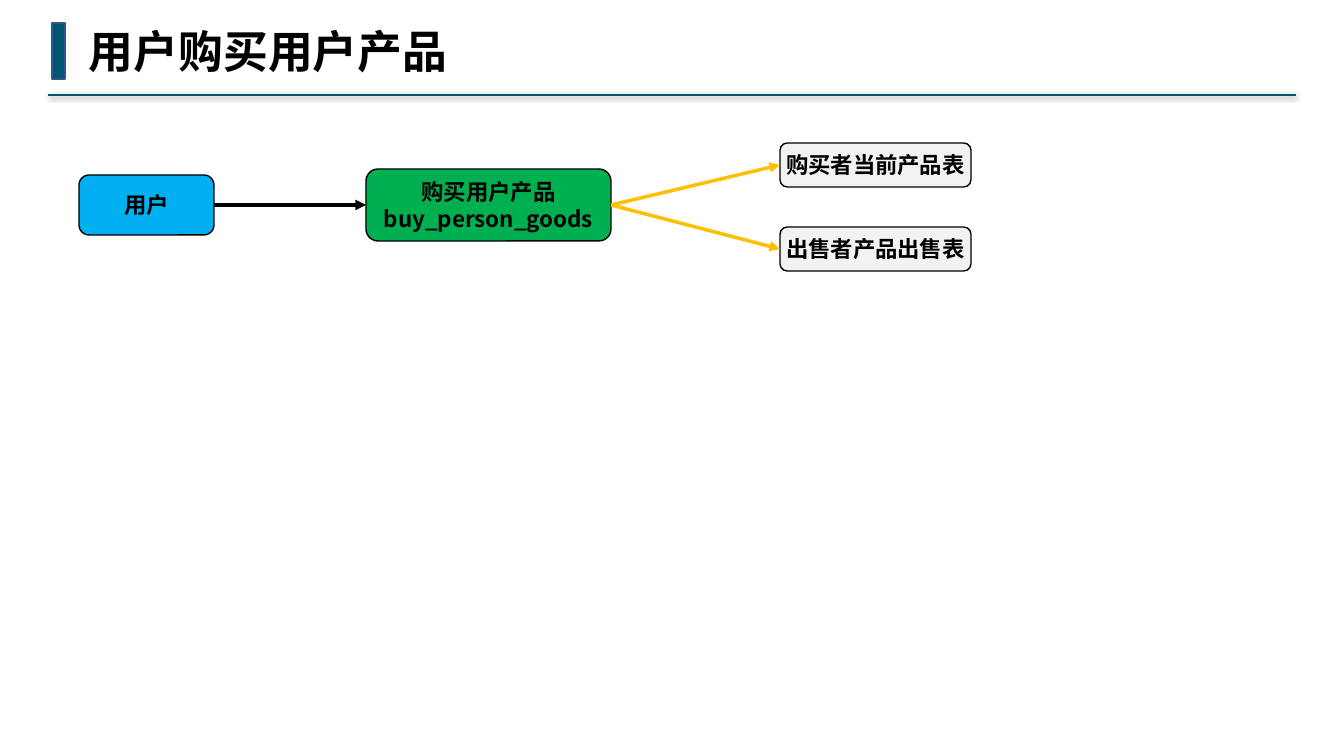
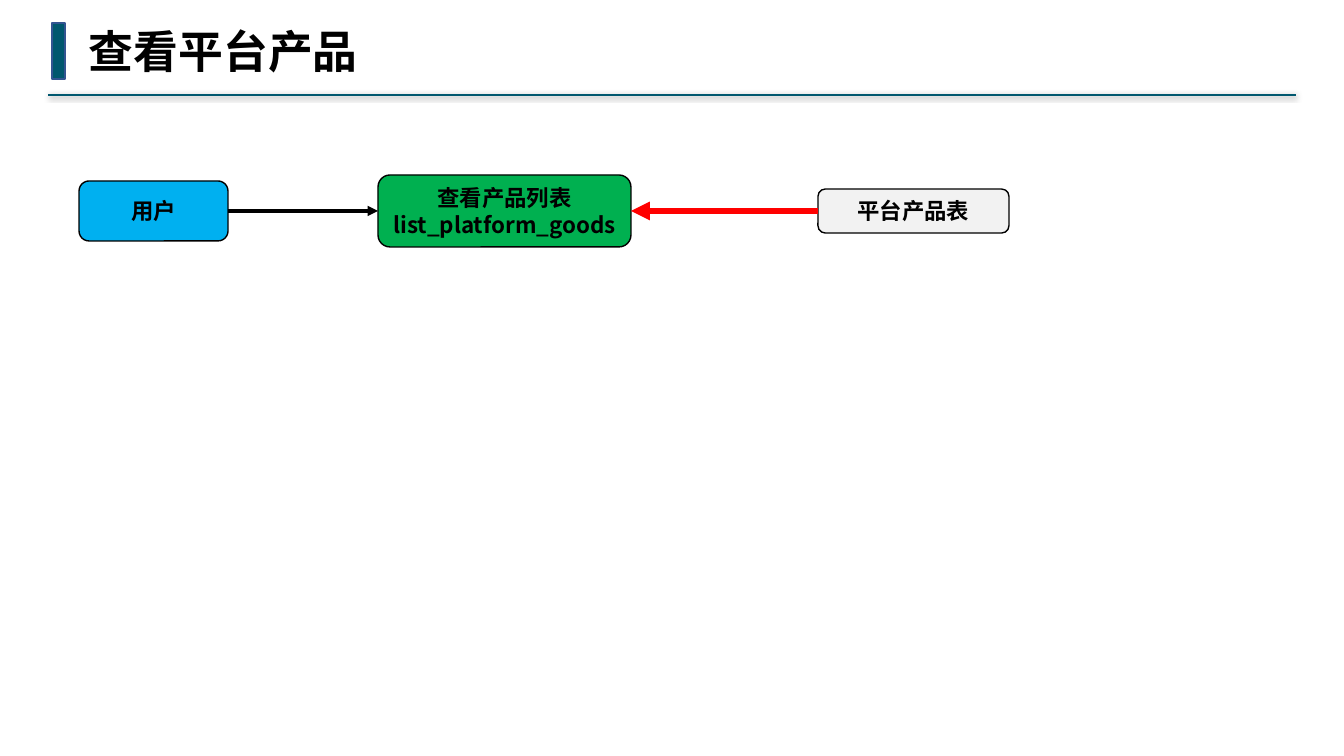
from dataclasses import dataclass
from typing import Any

from lxml.etree import SubElement
from pptx import Presentation
from pptx.dml.color import RGBColor
from pptx.enum.shapes import MSO_CONNECTOR, MSO_SHAPE
from pptx.enum.text import MSO_ANCHOR, MSO_AUTO_SIZE, PP_ALIGN
from pptx.oxml.ns import qn
from pptx.util import Emu, Pt

EMU_PER_PX = 914400 / 100.8
LEFT_SITE, RIGHT_SITE = 1, 3


def px(n: int) -> Emu:
    return Emu(round(n * EMU_PER_PX))


@dataclass(frozen=True)
class Theme:
    ink: str = "000000"
    accent: str = "00576E"
    accent_edge: str = "325491"
    user: str = "00B0F0"
    action: str = "00B050"
    table: str = "F2F2F2"
    update_arrow: str = "FFC000"
    query_arrow: str = "FF0000"
    title_font: str = "Noto Sans Mono"
    body_font: str = "Noto Sans CJK SC"
    title_size: int = 32
    body_size: int = 16


THEME = Theme()


@dataclass(frozen=True)
class Kind:
    fill: str
    height: int


USER = Kind(THEME.user, 60)
ACTION = Kind(THEME.action, 72)
TABLE = Kind(THEME.table, 44)


@dataclass(frozen=True)
class Node:
    kind: Kind
    left: int
    middle: int
    width: int
    lines: tuple[str, ...]


@dataclass(frozen=True)
class Arrow:
    start: str
    end: str
    color: str = THEME.ink
    weight: float = 2.5
    backward: bool = False


@dataclass(frozen=True)
class Flow:
    title: str
    nodes: dict[str, Node]
    arrows: tuple[Arrow, ...]


FLOWS = (
    Flow(
        "用户购买用户产品",
        {
            "user": Node(USER, 79, 205, 135, ("用户",)),
            "buy": Node(ACTION, 366, 205, 245, ("购买用户产品", "buy_person_goods")),
            "sold": Node(TABLE, 780, 249, 191, ("出售者产品出售表",)),
            "owned": Node(TABLE, 780, 165, 191, ("购买者当前产品表",)),
        },
        (
            Arrow("user", "buy"),
            Arrow("buy", "owned", THEME.update_arrow),
            Arrow("buy", "sold", THEME.update_arrow),
        ),
    ),
    Flow(
        "查看平台产品",
        {
            "user": Node(USER, 79, 211, 149, ("用户",)),
            "list": Node(ACTION, 378, 211, 253, ("查看产品列表", "list_platform_goods")),
            "goods": Node(TABLE, 818, 211, 191, ("平台产品表",)),
        },
        (
            Arrow("goods", "list", THEME.query_arrow, 4.5, backward=True),
            Arrow("user", "list"),
        ),
    ),
)


def apply(target: Any, values: dict[str, Any]) -> None:
    for name, value in values.items():
        setattr(target, name, value)


def set_line(line: Any, color: str, weight: float) -> None:
    line.color.rgb = RGBColor.from_string(color)
    line.width = Pt(weight)


def add_text(p: Any, text: str, size: int, font: str) -> None:
    r = p.add_run()
    r.text = text
    apply(r.font, {"name": font, "size": Pt(size), "bold": True})
    r.font.color.rgb = RGBColor.from_string(THEME.ink)
    SubElement(r.font._element, qn("a:ea"), typeface=THEME.body_font)


def add_box(slide: Any, preset: MSO_SHAPE, box: tuple[int, int, int, int],
            fill: str, edge: str) -> Any:
    sp = slide.shapes.add_shape(preset, *map(px, box))
    sp.shadow.inherit = False
    sp.fill.solid()
    sp.fill.fore_color.rgb = RGBColor.from_string(fill)
    set_line(sp.line, edge, 1)
    return sp


def add_line(slide: Any, color: str, weight: float,
             ends: tuple[int, int, int, int] = (0, 0, 0, 0)) -> tuple[Any, Any]:
    cxn = slide.shapes.add_connector(MSO_CONNECTOR.STRAIGHT, *map(px, ends))
    set_line(cxn.line, color, weight)
    effects = SubElement(cxn._element.spPr, qn("a:effectLst"))
    return cxn, effects


def add_header(slide: Any, title: str) -> None:
    _, effects = add_line(slide, THEME.accent, 1.5, (1296, 95, 48, 95))
    shadow = SubElement(effects, qn("a:outerShdw"), blurRad=str(Pt(4)),
                        dist=str(Pt(1)), dir="5400000", rotWithShape="0")
    color = SubElement(shadow, qn("a:srgbClr"), val=THEME.ink)
    SubElement(color, qn("a:alpha"), val="40000")

    add_box(slide, MSO_SHAPE.RECTANGLE, (52, 23, 13, 56), THEME.accent, THEME.accent_edge)

    box = (79, 19, 20 + 45 * len(title), 65)
    tf = slide.shapes.add_textbox(*map(px, box)).text_frame
    apply(tf, {"word_wrap": False, "auto_size": MSO_AUTO_SIZE.SHAPE_TO_FIT_TEXT})
    add_text(tf.paragraphs[0], title, THEME.title_size, THEME.title_font)


def add_node(slide: Any, node: Node) -> Any:
    height = node.kind.height
    box = (node.left, node.middle - height // 2, node.width, height)
    sp = add_box(slide, MSO_SHAPE.ROUNDED_RECTANGLE, box, node.kind.fill, THEME.ink)
    tf = sp.text_frame
    margins = ("margin_left", "margin_top", "margin_right", "margin_bottom")
    apply(tf, dict.fromkeys(margins, px(4)))
    apply(tf, {"word_wrap": False, "vertical_anchor": MSO_ANCHOR.MIDDLE})
    for i, text in enumerate(node.lines):
        p = tf.add_paragraph() if i else tf.paragraphs[0]
        p.alignment = PP_ALIGN.CENTER
        add_text(p, text, THEME.body_size, THEME.body_font)
    return sp


def add_arrow(slide: Any, arrow: Arrow, shapes: dict[str, Any]) -> None:
    cxn, _ = add_line(slide, arrow.color, arrow.weight)
    sites = (LEFT_SITE, RIGHT_SITE) if arrow.backward else (RIGHT_SITE, LEFT_SITE)
    cxn.begin_connect(shapes[arrow.start], sites[0])
    cxn.end_connect(shapes[arrow.end], sites[1])
    SubElement(cxn.line._get_or_add_ln(), qn("a:tailEnd"), type="triangle")


def add_flow(prs: Any, flow: Flow) -> None:
    slide = prs.slides.add_slide(prs.slide_layouts[6])
    add_header(slide, flow.title)
    shapes = {name: add_node(slide, node) for name, node in flow.nodes.items()}
    for arrow in flow.arrows:
        add_arrow(slide, arrow, shapes)


def main() -> None:
    prs = Presentation()
    apply(prs, {"slide_width": px(1344), "slide_height": px(756)})
    for flow in FLOWS:
        add_flow(prs, flow)
    prs.save("out.pptx")


main()
